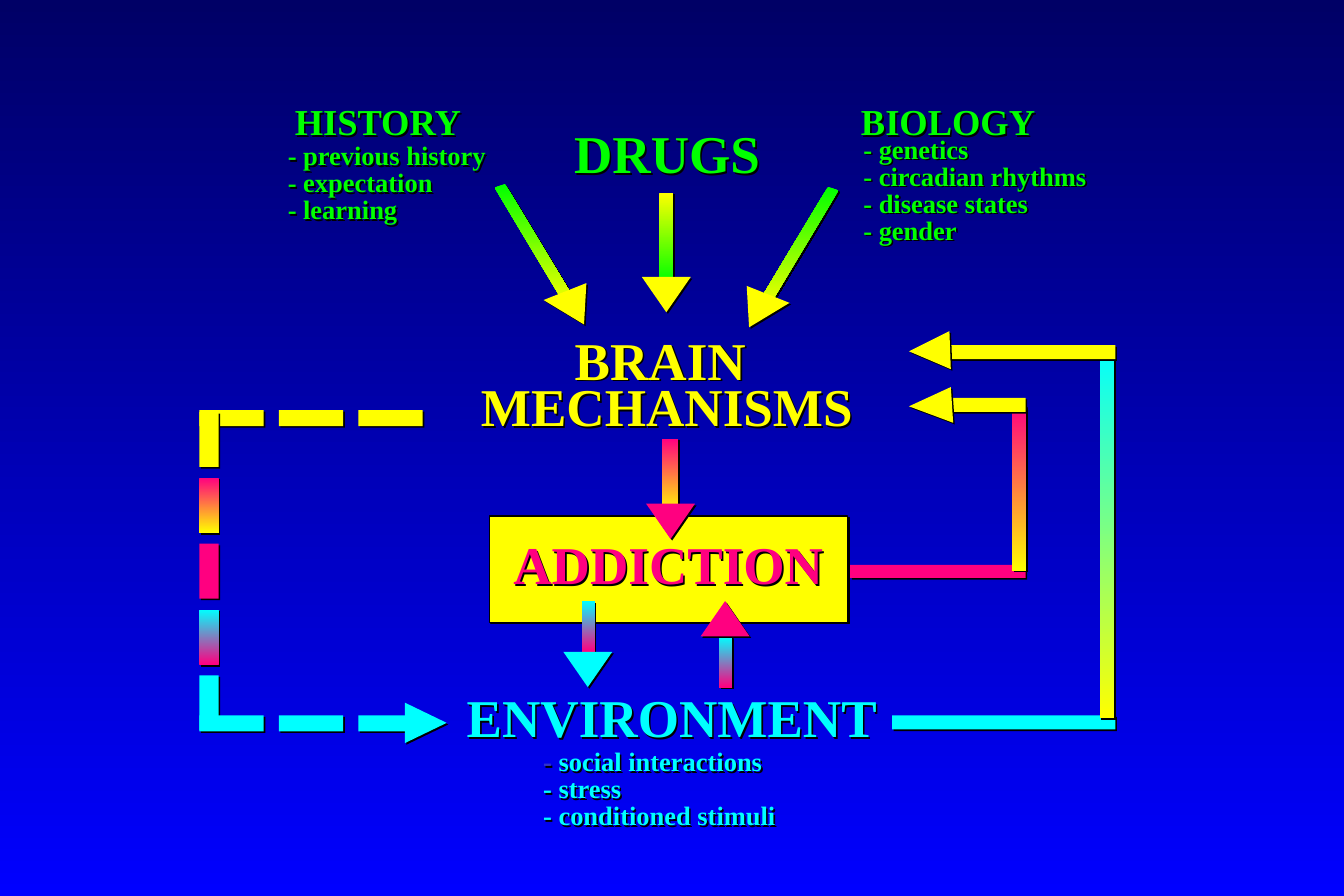
from lxml.etree import SubElement
from pptx import Presentation
from pptx.dml.color import RGBColor
from pptx.enum.shapes import MSO_SHAPE
from pptx.enum.text import MSO_ANCHOR, MSO_AUTO_SIZE, PP_ALIGN
from pptx.oxml.ns import qn
from pptx.util import Cm, Pt

COLORS = {
    "black": "000000", "night": "000066", "blue": "0000FF", "indigo": "3333CC",
    "green": "00FF00", "yellow": "FFFF00", "pink": "FF0080", "cyan": "00FFFF",
}
FONT = {"name": "Times New Roman", "bold": True}
FRAME = {"word_wrap": True, "auto_size": MSO_AUTO_SIZE.NONE,
         "vertical_anchor": MSO_ANCHOR.MIDDLE}
SHADOW = {"blurRad": "0", "dist": "17780", "dir": "2700000", "algn": "ctr", "rotWithShape": "0"}


def rgb(color):
    return RGBColor.from_string(COLORS[color])


def apply(target, values):
    for name, value in values.items():
        setattr(target, name, value)


class Diagram:
    def __init__(self, page):
        self.page = page
        self.paint(page.background.fill, "night", "blue")

    def paint(self, fill, top, bottom=None):
        if bottom is None:
            fill.solid()
            fill.fore_color.rgb = rgb(top)
            return
        fill.gradient()
        fill.gradient_angle = 270
        for stop, color in zip(fill.gradient_stops, (top, bottom)):
            stop.color.rgb = rgb(color)

    def shade(self, shape):
        shape.shadow.inherit = False
        effects = shape.element.spPr.find(qn("a:effectLst"))
        shadow = SubElement(effects, qn("a:outerShdw"), SHADOW)
        SubElement(shadow, qn("a:srgbClr"), {"val": COLORS["black"]})

    def finish(self, shape, colors):
        self.paint(shape.fill, *colors)
        shape.line.fill.background()
        self.shade(shape)
        return shape

    def bar(self, left, top, width, height, *colors):
        place = map(Cm, (left, top, width, height))
        return self.finish(self.page.shapes.add_shape(MSO_SHAPE.RECTANGLE, *place), colors)

    def dash_row(self, top, color):
        for index in range(3):
            self.bar(4.24 + 1.69 * index, top, 1.37, 0.34, color)

    def polygon(self, points, *colors):
        start, *others = [(Cm(x), Cm(y)) for x, y in points]
        builder = self.page.shapes.build_freeform(*start)
        builder.add_line_segments(others, close=True)
        self.finish(builder.convert_to_shape(), colors)

    def vertical_head(self, left, base, height, color):
        self.polygon([(left, base), (left + 0.52, base + height), (left + 1.04, base)], color)

    def text(self, place, lines, size, color, spacing=0.85, align=PP_ALIGN.LEFT, dash=None):
        box = self.page.shapes.add_textbox(*map(Cm, place))
        apply(box.text_frame, FRAME)
        self.shade(box)
        for index, line in enumerate(lines):
            para = box.text_frame.paragraphs[0] if index == 0 else box.text_frame.add_paragraph()
            apply(para, {"alignment": align, "line_spacing": spacing, "space_before": Pt(0)})
            parts = [(line, color)]
            if dash and index == 0:
                parts = [(line[:2], dash), (line[2:], color)]
            for words, tint in parts:
                span = para.add_run()
                span.text = words
                apply(span.font, {**FONT, "size": Pt(size)})
                span.font.color.rgb = rgb(tint)


def main():
    deck = Presentation()
    apply(deck, {"slide_width": Cm(28.58), "slide_height": Cm(19.05)})
    diagram = Diagram(deck.slides.add_slide(deck.slide_layouts[6]))

    addiction = diagram.bar(10.41, 10.97, 7.62, 2.26, "yellow")
    addiction.line.color.rgb = rgb("black")
    addiction.line.width = Pt(0.75)

    center = PP_ALIGN.CENTER
    diagram.text((11.96, 2.64, 5, 1.42), ["DRUGS"], 32, "green")
    diagram.text((9.58, 7.16, 9.21, 2.24), ["BRAIN ", "MECHANISMS"], 32, "yellow", 0.73, center)
    diagram.text((10.27, 11.38, 7.89, 1.42), ["ADDICTION"], 32, "pink", align=center)
    diagram.text((9.28, 14.63, 10.02, 1.42), ["ENVIRONMENT"], 32, "cyan", align=center)
    diagram.text((6.02, 2.13, 4.6, 1.04), ["HISTORY"], 22, "green")
    diagram.text((18.06, 2.13, 4.8, 1.04), ["BIOLOGY"], 22, "green")
    diagram.text((5.87, 2.94, 5.3, 1.98),
                 ["- previous history", "- expectation", "- learning"], 16, "green")
    diagram.text((18.11, 2.79, 5.8, 2.57),
                 ["- genetics", "- circadian rhythms", "- disease states", "- gender"], 16, "green")
    diagram.text((11.3, 15.82, 6, 1.98),
                 ["- social interactions", "- stress", "- conditioned stimuli"],
                 16, "cyan", dash="indigo")

    for bar in (
        (14.02, 4.1, 0.3, 1.9, "yellow", "green"),
        (18.08, 12.01, 3.73, 0.28, "pink"),
        (21.52, 8.61, 0.3, 3.53, "pink", "yellow"),
        (19.89, 8.46, 1.92, 0.3, "yellow"),
        (14.07, 9.33, 0.36, 1.57, "pink", "yellow"),
        (12.37, 12.78, 0.28, 1.07, "cyan", "pink"),
        (15.29, 13.54, 0.28, 1.07, "cyan", "pink"),
        (18.97, 15.21, 4.75, 0.3, "cyan"),
        (23.39, 7.42, 0.3, 7.85, "cyan", "yellow"),
        (20.14, 7.34, 3.58, 0.3, "yellow"),
    ):
        diagram.bar(*bar)

    diagram.dash_row(8.72, "yellow")
    fades = [("yellow",), ("pink", "yellow"), ("pink",), ("cyan", "pink"), ("cyan",)]
    for index, colors in enumerate(fades):
        diagram.bar(4.24, 8.76 + 1.4 * index, 0.41, 1.17, *colors)
    diagram.dash_row(15.21, "cyan")

    for head in (
        (13.65, 5.89, 0.75, "yellow"),
        (13.74, 10.71, 0.75, "pink"),
        (11.98, 13.86, 0.75, "cyan"),
        (14.9, 13.53, -0.75, "pink"),
    ):
        diagram.vertical_head(*head)
    diagram.polygon([(20.19, 7.04), (19.33, 7.47), (20.22, 7.85)], "yellow")
    diagram.polygon([(20.22, 8.23), (19.33, 8.64), (20.27, 8.99)], "yellow")
    diagram.polygon([(8.61, 15.8), (9.5, 15.37), (8.61, 14.94)], "cyan")

    shaft = [(12.07, 6.57), (10.52, 3.99), (10.74, 3.91), (12.29, 6.49)]
    tip = [(11.56, 6.38), (12.42, 6.9), (12.47, 6.02)]
    for points, colors in ((shaft, ("green", "yellow")), (tip, ("yellow",))):
        diagram.polygon(points, *colors)
        diagram.polygon([(28.35 - x, y + 0.06) for x, y in points], *colors)

    deck.save("out.pptx")


if __name__ == "__main__":
    main()
